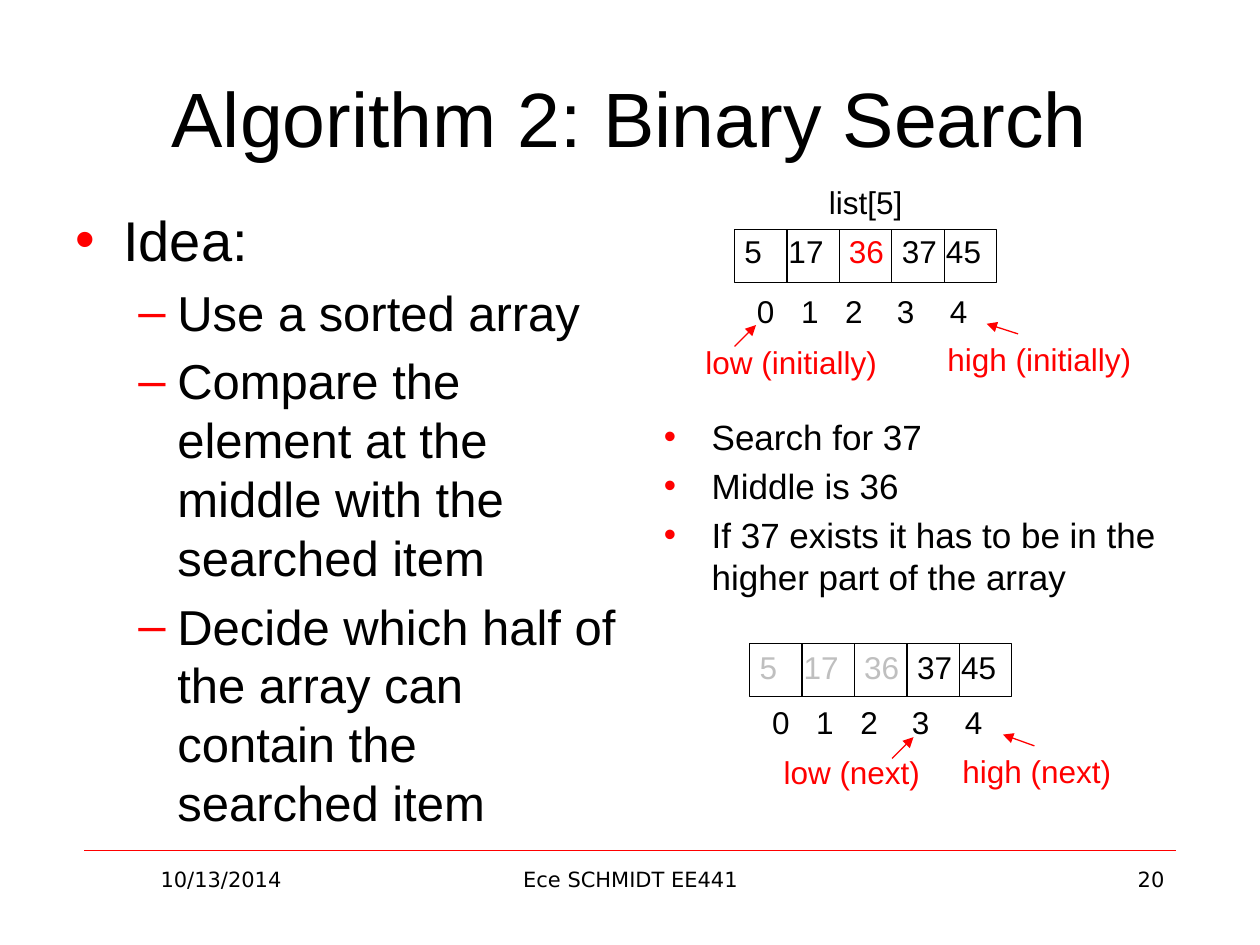
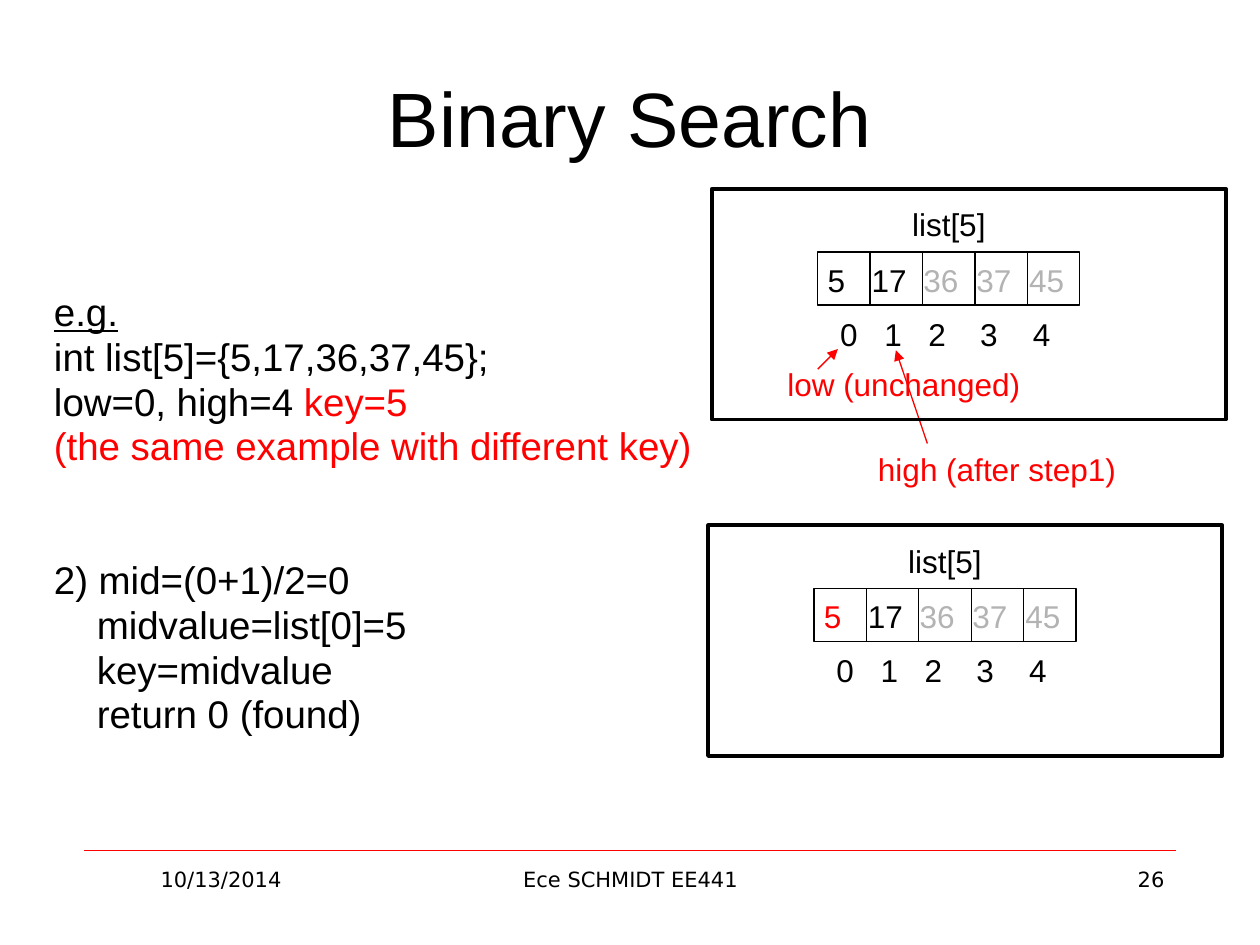
from dataclasses import dataclass
from lxml import etree
from pptx import Presentation
from pptx.dml.color import RGBColor as RGB
from pptx.enum.shapes import MSO_CONNECTOR as LINE, MSO_SHAPE as SHAPE
from pptx.enum.text import MSO_ANCHOR as ANCHOR, MSO_AUTO_SIZE as AUTO, PP_ALIGN as ALIGN
from pptx.oxml.ns import qn
from pptx.util import Inches, Pt


@dataclass(frozen=True)
class Theme:
    ink: str = "000000"
    red: str = "FF0000"
    pale: str = "BFBFBF"
    gray: str = "B3B3B3"
    font: str = "Arial"
    foot: str = "DejaVu Sans"
    title: int = 44
    head: int = 32
    body: int = 28
    code: int = 22
    note: int = 20
    label: int = 18
    small: int = 12


T = Theme()
CELL, CELLS = 0.42, 5
WIDE = CELL * CELLS - 0.02

# Tab stops of the numbers in and under an array
INDEX = (0.35, 0.7, 1.11, 1.53)
EVEN = (0.35, 0.83, 1.25, 1.6)
TIGHT = (0.35, 0.76, 1.18, 1.6)

VALUES = ("5", "17", "36", "37", "45")

FOOT = [  # text, left, width, alignment
    ("10/13/2014", 0.67, 2.17, ALIGN.CENTER),
    ("Ece SCHMIDT EE441", 3.42, 3.17, ALIGN.CENTER),
    (None, 7.17, 2.17, ALIGN.RIGHT),
]

IDEA = [  # level, text
    (0, "Idea:"),
    (1, "Use a sorted array"),
    (1, "Compare the element at the middle with the searched item"),
    (1, "Decide which half of the array can contain the searched item"),
]
STEPS = [
    (0, "Search for 37"),
    (0, "Middle is 36"),
    (0, "If 37 exists it has to be in the higher part of the array"),
]
CODE = [  # runs, left indent, lines skipped before
    ([("e.g.", T.ink)], 0, 0),
    ([("int list[5]={5,17,36,37,45};", T.ink)], 0, 0),
    ([("low=0, high=4 ", T.ink), ("key=5", T.red)], 0, 0),
    ([("(the same example with different key)", T.red)], 0, 0),
    ([("2) mid=(0+1)/2=0", T.ink)], 0, 2),
    ([("midvalue=list[0]=5", T.ink)], 0.34, 0),
    ([("key=midvalue", T.ink)], 0.34, 0),
    ([("return 0 (found)", T.ink)], 0.34, 0),
]

# Arrays: place, value colours, tab stops, text shifts, pointers
# A pointer is: text, left, top, width, arrow start, arrow end
FIRST = dict(
    x=5.83, y=1.82, name="list[5]", stops=EVEN, rise=-0.03, drop=0.45,
    hues=(T.ink, T.ink, T.red, T.ink, T.ink),
    marks=[("low (initially)", 5.5, 2.67, 1.83, (5.83, 2.75), (6, 2.58)),
           ("high (initially)", 7.42, 2.65, 2.17, (8.08, 2.65), (7.83, 2.57))])
NEXT = dict(
    x=5.95, y=5.11, name=None, stops=EVEN, rise=-0.02, drop=0.42,
    hues=(T.pale, T.pale, T.pale, T.ink, T.ink),
    marks=[("low (next)", 6.12, 5.93, 1.38, (7.08, 6.02), (7.25, 5.85)),
           ("high (next)", 7.54, 5.92, 2.17, (8.21, 5.92), (7.96, 5.83))])
AFTER = dict(
    x=6.49, y=2, name="list[5]", stops=TIGHT, rise=0.02, drop=0.45,
    hues=(T.ink, T.ink, T.gray, T.gray, T.gray), frame=True,
    marks=[("low (unchanged)", 6.15, 2.85, 2.08, (6.49, 2.93), (6.65, 2.77)),
           ("high (after step1)", 6.87, 3.52, 2.17, (7.36, 3.52), (7.11, 2.78))])
FOUND = dict(
    x=6.46, y=4.67, name="list[5]", stops=TIGHT, rise=0.02, drop=0.45,
    hues=(T.red, T.ink, T.gray, T.gray, T.gray), frame=True, marks=[])


def style(para, size, color=T.ink, face=T.font):
    para.font.size = Pt(size)
    para.font.name = face
    para.font.color.rgb = RGB.from_string(color)


def put_runs(para, runs, size):
    """Fill a paragraph with (text, colour) runs over one base style."""
    base = runs[0][1]
    style(para, size, base)
    for text, hue in runs:
        run = para.add_run()
        run.text = text
        if hue != base:
            run.font.color.rgb = RGB.from_string(hue)


def add_box(slide, x, y, w, h):
    frame = slide.shapes.add_textbox(*map(Inches, (x, y, w, h))).text_frame
    frame.word_wrap = True
    return frame


def add_label(slide, text, x, y, w, h=0.4, size=T.label, color=T.ink,
              face=T.font, align=ALIGN.LEFT):
    para = add_box(slide, x, y, w, h).paragraphs[0]
    para.text = text
    para.alignment = align
    style(para, size, color, face)


def add_line(slide, start, end, color=T.ink, width=0.75, arrow=False):
    line = slide.shapes.add_connector(LINE.STRAIGHT, *map(Inches, (*start, *end)))
    line.line.color.rgb = RGB.from_string(color)
    line.line.width = Pt(width)
    if arrow:
        etree.SubElement(line.line._get_or_add_ln(), qn("a:tailEnd"), type="triangle")
    etree.SubElement(line._element.spPr, qn("a:effectLst"))


def add_rect(slide, x, y, w, h, width):
    rect = slide.shapes.add_shape(SHAPE.RECTANGLE, *map(Inches, (x, y, w, h)))
    rect.shadow.inherit = False
    rect.fill.background()
    rect.line.color.rgb = RGB.from_string(T.ink)
    rect.line.width = Pt(width)


def add_row(slide, runs, stops, x, y):
    """Write numbers on one line, each at its own tab stop."""
    para = add_box(slide, x, y, 2.17, 0.4).paragraphs[0]
    tabs = etree.SubElement(para._p.get_or_add_pPr(), qn("a:tabLst"))
    for stop in stops:
        etree.SubElement(tabs, qn("a:tab"), pos=str(Inches(stop)), algn="l")
    tabbed = [("\t" * (i > 0) + text, hue) for i, (text, hue) in enumerate(runs)]
    put_runs(para, tabbed, T.label)


def add_array(slide, x, y, name, stops, rise, drop, hues, marks, frame=False):
    add_rect(slide, x, y, WIDE, CELL, 0.75)
    for i in range(1, CELLS):
        mid = x + WIDE * i / CELLS
        add_line(slide, (mid, y), (mid, y + CELL))
    add_row(slide, [(str(i), T.ink) for i in range(CELLS)], INDEX, x + 0.08, y + drop)
    if name:
        add_label(slide, name, x + 0.65, y - 0.42, 0.92)
    for text, left, top, width, start, end in marks:
        add_label(slide, text, left, top, width, color=T.red)
        add_line(slide, start, end, T.red, arrow=True)
    add_row(slide, list(zip(VALUES, hues)), stops, x - 0.02, y + rise)
    if frame:
        add_rect(slide, x - 0.84, y - 0.5, 4.08, 1.83, 2.25)


def add_list(slide, items, sizes, x, y, w, h):
    """Write bulleted paragraphs; sizes holds one type size per level."""
    frame = add_box(slide, x, y, w, h)
    for i, (level, text) in enumerate(items):
        para = frame.add_paragraph() if i else frame.paragraphs[0]
        para.text = text
        para.level = level
        left, hang, sign = ((0.38, 0.38, "•"), (0.81, 0.31, "–"))[level]
        props = para._p.get_or_add_pPr()
        props.set("marL", str(Inches(left)))
        props.set("indent", str(-Inches(hang)))
        tint = etree.SubElement(props, qn("a:buClr"))
        etree.SubElement(tint, qn("a:srgbClr"), val=T.red)
        etree.SubElement(props, qn("a:buFont"), typeface=T.font)
        etree.SubElement(props, qn("a:buChar"), char=sign)
        para.space_before = Pt(sizes[level] * 0.2 if i else 0)
        style(para, sizes[level])


def add_code(slide):
    frame = add_box(slide, 0.33, 2.31, 9.42, 4.6)
    for i, (runs, left, skip) in enumerate(CODE):
        para = frame.add_paragraph() if i else frame.paragraphs[0]
        para._p.get_or_add_pPr().set("marL", str(Inches(left)))
        para.line_spacing = 0.8
        para.space_before = Pt(4.4 + 25.55 * skip)
        put_runs(para, runs, T.code)
    frame.paragraphs[0].runs[0].font.underline = True


def add_slide(deck, title, number):
    slide = deck.slides.add_slide(deck.slide_layouts[5])
    head = slide.shapes.title
    head.left, head.top, head.width, head.height = map(Inches, (0.5, 0.3, 9, 1.25))
    frame = head.text_frame
    frame.text = title
    frame.auto_size = AUTO.NONE
    frame.vertical_anchor = ANCHOR.MIDDLE
    frame.paragraphs[0].alignment = ALIGN.CENTER
    style(frame.paragraphs[0], T.title)
    add_line(slide, (0.67, 6.75), (9.33, 6.75), T.red, 0.25)
    for text, x, w, align in FOOT:
        add_label(slide, text or str(number), x, 6.83, w, 0.52,
                  T.small, face=T.foot, align=align)
    return slide


def main():
    deck = Presentation()
    deck.slide_width, deck.slide_height = Inches(10), Inches(7.5)

    idea = add_slide(deck, "Algorithm 2: Binary Search", 20)
    add_list(idea, IDEA, (T.head, T.body), 0.5, 1.58, 4.5, 4.95)
    add_list(idea, STEPS, (T.note,), 5.17, 3.25, 4.5, 1.67)
    add_array(idea, **FIRST)
    add_array(idea, **NEXT)

    trace = add_slide(deck, "Binary Search", 26)
    add_code(trace)
    add_array(trace, **AFTER)
    add_array(trace, **FOUND)

    deck.save("out.pptx")


if __name__ == "__main__":
    main()
